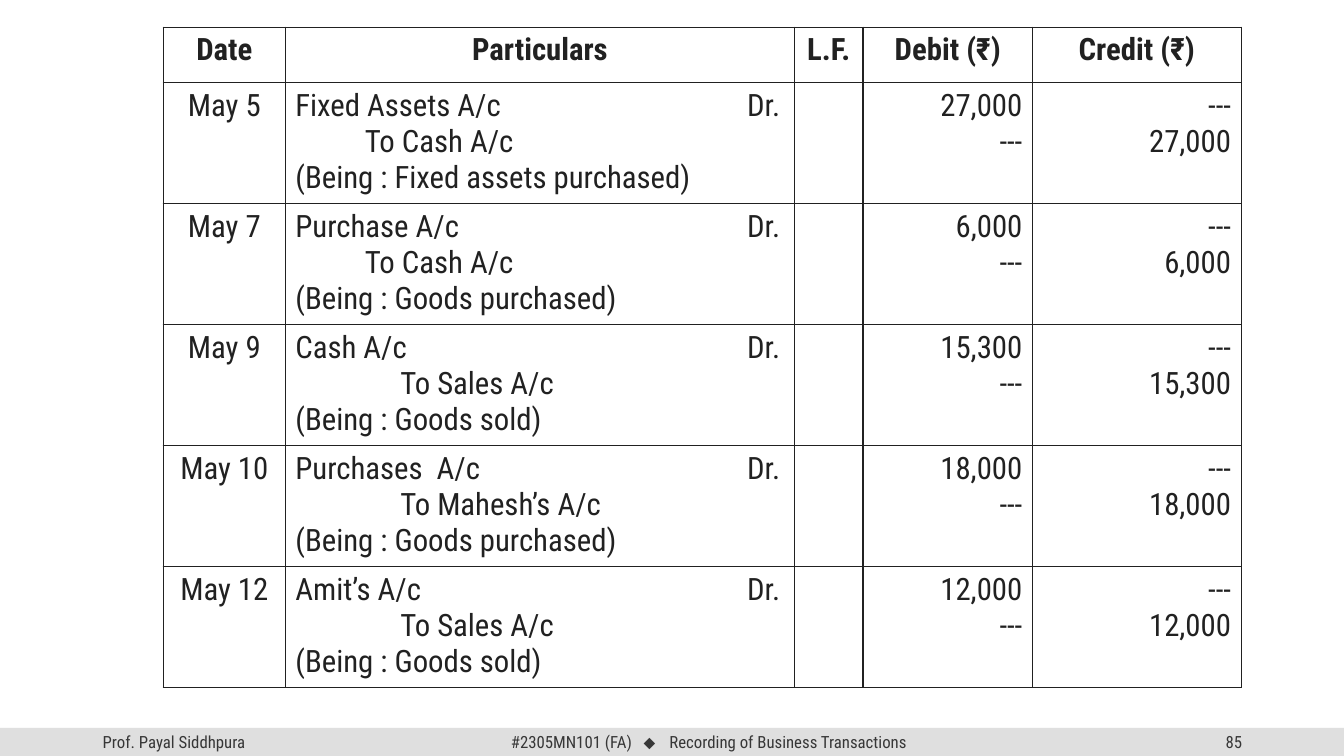
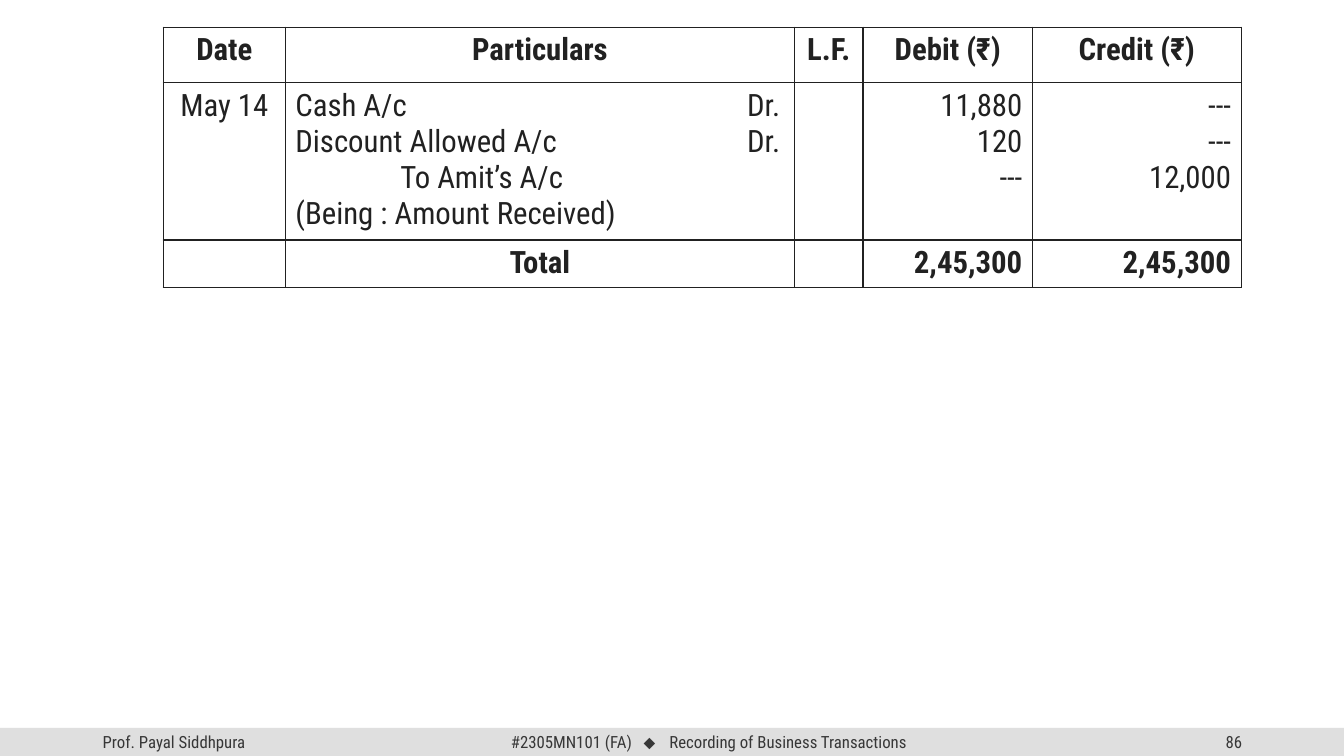
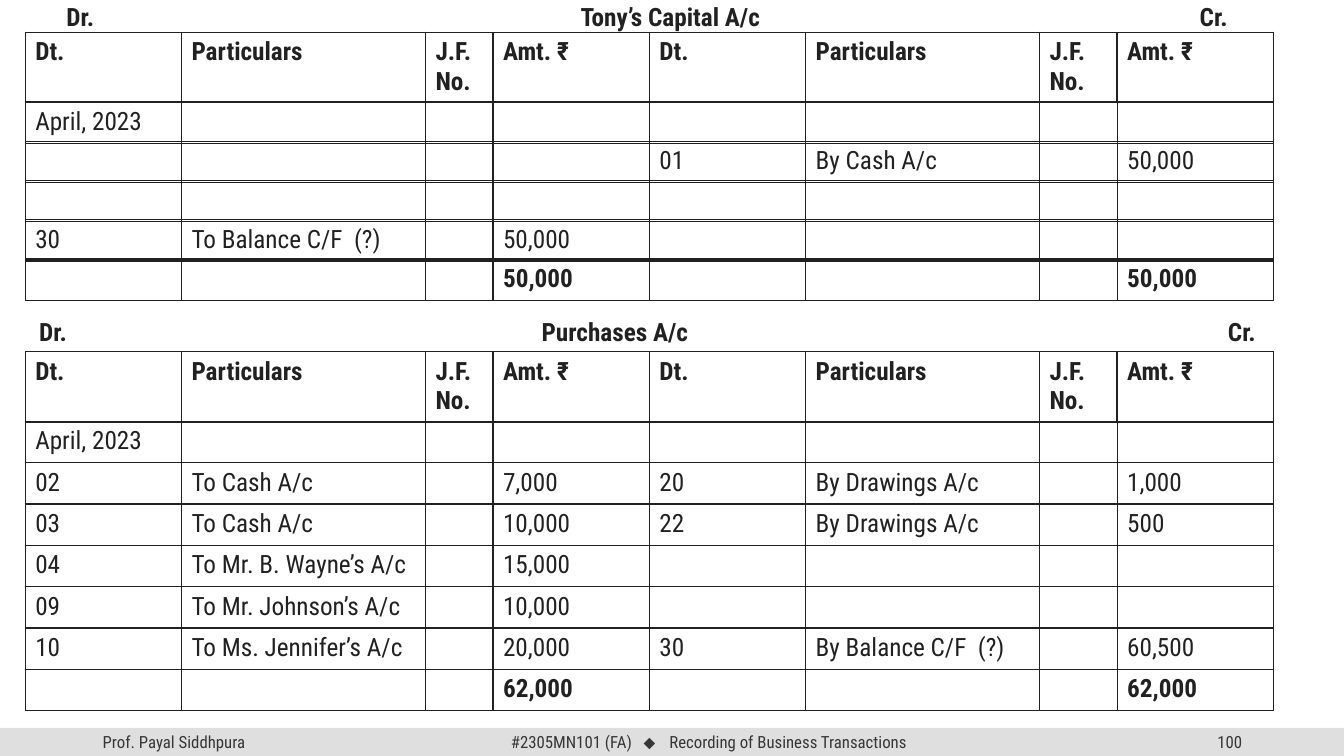
"""Build two journal pages and one ledger page with a shared footer band."""
from lxml.etree import SubElement
from pptx import Presentation
from pptx.dml.color import RGBColor
from pptx.enum.shapes import MSO_SHAPE
from pptx.enum.text import MSO_ANCHOR, PP_ALIGN
from pptx.oxml.ns import qn
from pptx.util import Inches, Pt

INK = RGBColor(0x21, 0x21, 0x21)
FOOTER_INK = RGBColor(0x37, 0x37, 0x37)
BAND = RGBColor(0xDF, 0xDF, 0xDF)
FONT = "Roboto Condensed"
LEFT, CENTER, RIGHT = PP_ALIGN.LEFT, PP_ALIGN.CENTER, PP_ALIGN.RIGHT

SLIDE_WIDTH, SLIDE_HEIGHT = 13.33, 7.5
BAND_HEIGHT = 0.28
BAND_TOP = SLIDE_HEIGHT - BAND_HEIGHT


def write_paragraph(paragraph, runs, size, color, bold=False, align=LEFT, indent=0, tabs=()):
    """Fill a paragraph with (text, font) runs, an indent and (position, kind) tab stops."""
    paragraph.alignment = align
    properties = paragraph._p.get_or_add_pPr()
    if indent:
        properties.set("marL", str(Inches(indent)))
    if tabs:
        tab_list = SubElement(properties, qn("a:tabLst"))
        for position, kind in tabs:
            SubElement(tab_list, qn("a:tab"), pos=str(Inches(position)), algn=kind)
    for text, font_name in runs:
        run = paragraph.add_run()
        run.text = text
        run.font.name = font_name
        run.font.size = Pt(size)
        run.font.bold = bold
        run.font.color.rgb = color


def add_grid(slide, left, top, widths, heights, rows, size, indent=0):
    """Add a ruled table whose cells are (lines, alignment, bold)."""
    table = slide.shapes.add_table(
        len(rows), len(widths), Inches(left), Inches(top),
        Inches(sum(widths)), Inches(sum(heights))).table
    table.first_row = table.horz_banding = False
    for column, width in zip(table.columns, widths):
        column.width = Inches(width)
    for table_row, height, row in zip(table.rows, heights, rows):
        table_row.height = Inches(height)
        for cell, (lines, align, bold) in zip(table_row.cells, row):
            properties = cell._tc.get_or_add_tcPr()
            for side in ("a:lnL", "a:lnR", "a:lnT", "a:lnB"):
                border = SubElement(properties, qn(side), w=str(Pt(1)))
                fill = SubElement(border, qn("a:solidFill"))
                SubElement(fill, qn("a:srgbClr"), val=str(INK))
            cell.fill.background()
            frame = cell.text_frame
            for number, line in enumerate(lines):
                paragraph = frame.add_paragraph() if number else frame.paragraphs[0]
                write_paragraph(
                    paragraph, [(line, FONT)], size, INK, bold, align,
                    indent if line.startswith("To ") else 0,
                    [(4.48, "l")] if "\t" in line else ())


presentation = Presentation()
presentation.slide_width = Inches(SLIDE_WIDTH)
presentation.slide_height = Inches(SLIDE_HEIGHT)

slides = {}
for page in (85, 86, 100):
    slide = presentation.slides.add_slide(presentation.slide_layouts[6])
    slides[page] = slide
    band = slide.shapes.add_shape(
        MSO_SHAPE.RECTANGLE, 0, Inches(BAND_TOP), Inches(SLIDE_WIDTH), Inches(BAND_HEIGHT))
    band.shadow.inherit = False
    band.fill.solid()
    band.fill.fore_color.rgb = BAND
    band.line.fill.background()
    course = [("#2305MN101 (FA)   ", FONT), ("⬥   ", "Arial"),
              ("Recording of Business Transactions ", FONT)]
    for left, width, align, runs in (
            (0.92, 3, LEFT, [("Prof. Payal Siddhpura", FONT)]),
            (9.42, 3, RIGHT, [(str(page), FONT)]),
            (4.43, 5.24, CENTER, course)):
        box = slide.shapes.add_textbox(
            Inches(left), Inches(BAND_TOP), Inches(width), Inches(BAND_HEIGHT))
        box.text_frame.word_wrap = True
        box.text_frame.vertical_anchor = MSO_ANCHOR.MIDDLE
        write_paragraph(box.text_frame.paragraphs[0], runs, 12, FOOTER_INK, align=align)

JOURNAL_WIDTHS = [1.21, 5.05, 0.68, 1.68, 2.07]
JOURNAL_HEADINGS = ["Date", "Particulars", "L.F.", "Debit (₹)", "Credit (₹)"]
JOURNAL_HEADER_HEIGHT = 0.55
journals = {
    85: [
        ("May 5", 0.69, ["Fixed Assets A/c\tDr.", "To Cash A/c", "(Being : Fixed assets purchased)"],
         ["27,000", "---"], ["---", "27,000"]),
        ("May 7", 0.69, ["Purchase A/c\tDr.", "To Cash A/c", "(Being : Goods purchased)"],
         ["6,000", "---"], ["---", "6,000"]),
        ("May 9", 1.04, ["Cash A/c\tDr.", "To Sales A/c", "(Being : Goods sold)"],
         ["15,300", "---"], ["---", "15,300"]),
        ("May 10", 1.04, ["Purchases  A/c\tDr.", "To Mahesh’s A/c", "(Being : Goods purchased)"],
         ["18,000", "---"], ["---", "18,000"]),
        ("May 12", 1.04, ["Amit’s A/c\tDr.", "To Sales A/c", "(Being : Goods sold)"],
         ["12,000", "---"], ["---", "12,000"]),
    ],
    86: [
        ("May 14", 1.04, ["Cash A/c\tDr.", "Discount Allowed A/c\tDr.", "To Amit’s A/c",
                          "(Being : Amount Received)"],
         ["11,880", "120", "---"], ["---", "---", "12,000"]),
        ("", 0, ["Total"], ["2,45,300"], ["2,45,300"]),
    ],
}
for page, entries in journals.items():
    top = 0.27
    for number, (date, indent, particulars, debits, credits) in enumerate(entries):
        is_total = not date
        rows = [[
            ([date] if date else [], CENTER, False),
            (particulars, CENTER if is_total else LEFT, is_total),
            ([], LEFT, False),
            (debits, RIGHT, is_total),
            (credits, RIGHT, is_total),
        ]]
        heights = [0.11 + 0.36 * len(particulars)]
        if number == 0:
            rows.insert(0, [([heading], CENTER, True) for heading in JOURNAL_HEADINGS])
            heights.insert(0, JOURNAL_HEADER_HEIGHT)
        add_grid(slides[page], 1.62, top, JOURNAL_WIDTHS, heights, rows, 22, indent)
        top += sum(heights) + 0.01

LEDGER_LEFT = 0.25
DEBIT_WIDTHS = [1.55, 2.42, 0.67, 1.55]
CREDIT_WIDTHS = [1.55, 2.32, 0.77, 1.55]
LEDGER_WIDTHS = DEBIT_WIDTHS + CREDIT_WIDTHS
LEDGER_SIDES = [(LEDGER_LEFT, DEBIT_WIDTHS), (LEDGER_LEFT + sum(DEBIT_WIDTHS), CREDIT_WIDTHS)]
LEDGER_HEADINGS = [["Dt."], ["Particulars"], ["J.F.", "No."], ["Amt. ₹"]] * 2
LEDGER_ROW_HEIGHT = 0.41
BLANK = ("", "", "")
MONTH = ("April, 2023", "", "")
ledgers = [
    ("Tony’s Capital A/c", (0.31, 6.3, 11.55), -0.04, 0.32, 1.01, 0.39, [
        (MONTH, BLANK),
        (BLANK, ("01", "By Cash A/c", "50,000")),
        (BLANK, BLANK),
        (("30", "To Balance C/F  (?)", "50,000"), BLANK),
        (("", "", "50,000"), ("", "", "50,000")),
    ]),
    ("Purchases A/c", (0.04, 5.75, 11.83), 3.09, 3.49, 4.18, 0.41, [
        (MONTH, BLANK),
        (("02", "To Cash A/c", "7,000"), ("20", "By Drawings A/c", "1,000")),
        (("03", "To Cash A/c", "10,000"), ("22", "By Drawings A/c", "500")),
        (("04", "To Mr. B. Wayne’s A/c", "15,000"), BLANK),
        (("09", "To Mr. Johnson’s A/c", "10,000"), BLANK),
        (("10", "To Ms. Jennifer’s A/c", "20,000"), ("30", "By Balance C/F  (?)", "60,500")),
        (("", "", "62,000"), ("", "", "62,000")),
    ]),
]
ledger_slide = slides[100]
for account, stops, title_top, header_top, body_top, pitch, lines in ledgers:
    headings = [(heading, LEFT, True) for heading in LEDGER_HEADINGS]
    add_grid(ledger_slide, LEDGER_LEFT, header_top, LEDGER_WIDTHS, [0.7], [headings], 18)
    title = ledger_slide.shapes.add_textbox(
        Inches(LEDGER_LEFT), Inches(title_top), Inches(sum(LEDGER_WIDTHS)), Inches(0.4))
    title.text_frame.word_wrap = True
    write_paragraph(
        title.text_frame.paragraphs[0], [(f"\tDr.\t{account}\tCr.", FONT)], 18, INK, True,
        tabs=list(zip(stops, ("l", "ctr", "l"))))
    for number, line in enumerate(lines):
        is_total = number == len(lines) - 1
        for (left, widths), (date, particulars, amount) in zip(LEDGER_SIDES, line):
            cells = [([text] if text else [], LEFT, is_total)
                     for text in (date, particulars, "", amount)]
            add_grid(ledger_slide, left, body_top + pitch * number, widths,
                     [LEDGER_ROW_HEIGHT], [cells], 18)

presentation.save("out.pptx")
